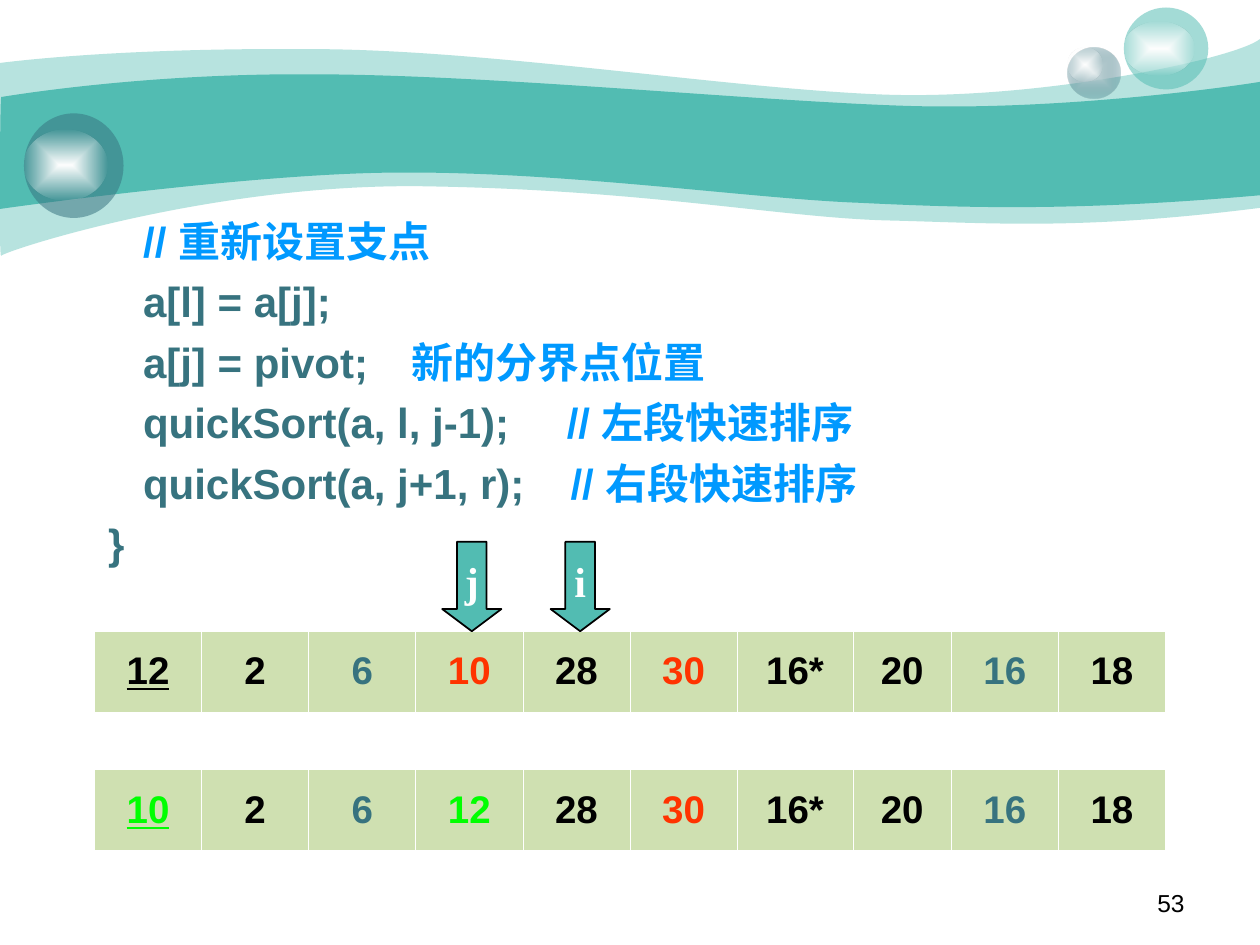
from pptx import Presentation
from pptx.dml.color import RGBColor
from pptx.enum.shapes import MSO_SHAPE
from pptx.enum.text import MSO_ANCHOR, MSO_AUTO_SIZE, PP_ALIGN
from pptx.oxml import parse_xml
from pptx.oxml.ns import nsdecls, qn
from pptx.util import Inches, Pt

OVAL, DOWN_ARROW = MSO_SHAPE.OVAL, MSO_SHAPE.DOWN_ARROW
CENTER, RIGHT = PP_ALIGN.CENTER, PP_ALIGN.RIGHT
MIDDLE = MSO_ANCHOR.MIDDLE
FIT_SHAPE = MSO_AUTO_SIZE.SHAPE_TO_FIT_TEXT
TEAL, SLATE, BLUE, SAGE = "52BCB2", "37737F", "0099FF", "A0C264"
BLACK, WHITE, RED, GREEN = "000000", "FFFFFF", "FF3300", "00FF00"


def rgb(value):
    return RGBColor.from_string(value)


def set_alphas(element, *percents):
    """Set the opacity of each colour in the element, in order."""
    for color, percent in zip(element.iter(qn("a:srgbClr")), percents):
        color.append(parse_xml(f'<a:alpha {nsdecls("a")} val="{percent * 1000}"/>'))


prs = Presentation()
prs.slide_width, prs.slide_height = Inches(10), Inches(7.5)
s = prs.slides.add_slide(prs.slide_layouts[6])

# Wave bands: start point, then segments (a line's end, or a curve's two controls and end)
waves = [
    (41, (0, 0.5), [
        (0.24, 0.47, 1.07, 0.38, 2.47, 0.39), (3.86, 0.39, 5.75, 0.7, 6.99, 0.75),
        (8.22, 0.8, 9.8, 0.47, 10, 0.31), (10, 1.65),
        (8.58, 1.83, 7.87, 1.77, 7.05, 1.75), (6.22, 1.73, 5.15, 1.51, 3.43, 1.48),
        (1.72, 1.44, 0.04, 1.99, 0.01, 2.03), (-0.01, 2.08, 0, 0.75, 0, 0.5)]),
    (100, (0.01, 0.77), [
        (0.02, 0.77, 1.1, 0.58, 2.48, 0.59), (3.86, 0.59, 5.95, 0.8, 7.18, 0.84),
        (8.41, 0.88, 9.76, 0.69, 10, 0.65), (10, 1.55),
        (8.53, 1.68, 7.65, 1.65, 6.82, 1.61), (5.99, 1.58, 4.47, 1.36, 3.17, 1.37),
        (2.03, 1.37, -0.02, 1.66, -0.01, 1.66), (0, 1.66, 0, 0.77, 0.01, 0.77)]),
]
for opacity, start, segments in waves:
    builder = s.shapes.build_freeform(Inches(start[0]), Inches(start[1]))
    builder.add_line_segments([tuple(map(Inches, seg[-2:])) for seg in segments], close=True)
    sp = builder.convert_to_shape()
    # Bend the straight segments into Bezier curves
    for line, seg in zip(list(sp._element.iter(qn("a:lnTo"))), segments):
        if len(seg) == 6:
            pts = "".join(f'<a:pt x="{Inches(x) - sp.left}" y="{Inches(y) - sp.top}"/>'
                          for x, y in zip(seg[::2], seg[1::2]))
            line.getparent().replace(line, parse_xml(
                f'<a:cubicBezTo {nsdecls("a")}>{pts}</a:cubicBezTo>'))
    sp.shadow.inherit = False
    sp.fill.solid()
    sp.fill.fore_color.rgb = rgb(TEAL)
    sp.line.fill.background()
    if opacity < 100:
        set_alphas(sp._element.spPr, opacity)

# Glass balls: each a body and a highlight; colours run from centre to edge
GLOW = [(WHITE, 100), (WHITE, 0)]
balls = [
    [((8.47, 0.38, 0.42, 0.4), [("CCDBDE", 100), (SLATE, 31)]),
     ((8.47, 0.38, 0.28, 0.27), GLOW)],
    [((8.92, 0.06, 0.67, 0.65), [(TEAL, 53)]), ((8.92, 0.17, 0.56, 0.43), GLOW)],
    [((0.19, 0.9, 0.79, 0.83), [(SLATE, 53)]), ((0.19, 1.03, 0.66, 0.56), GLOW)],
]
for ball in balls:
    group = s.shapes.add_group_shape()
    for box, colors in ball:
        sp = group.shapes.add_shape(OVAL, *map(Inches, box))
        sp.shadow.inherit = False
        sp.line.fill.background()
        if len(colors) == 1:
            sp.fill.solid()
            sp.fill.fore_color.rgb = rgb(colors[0][0])
        else:
            sp.fill.gradient()
            for stop, (color, _) in zip(sp.fill.gradient_stops, colors):
                stop.color.rgb = rgb(color)
            lin = next(sp._element.iter(qn("a:lin")))
            lin.getparent().replace(lin, parse_xml(
                f'<a:path {nsdecls("a")} path="rect"><a:fillToRect l="50000" '
                't="50000" r="50000" b="50000"/></a:path>'))
        set_alphas(sp._element.spPr, *[opacity for _, opacity in colors])

# Slide number
tf = s.shapes.add_textbox(Inches(7.17), Inches(7), Inches(2.33), Inches(0.35)).text_frame
tf.word_wrap = True
p = tf.paragraphs[0]
p.text = "53"
p.alignment = RIGHT
p.font.size, p.font.name, p.font.color.rgb = Pt(14), "Arial", rgb(BLACK)

# Code listing: code, comment and the tab stop between them
listing = [
    ("   ", "// 重新设置支点", None),
    ("   a[l] = a[j];", "", None),
    ("   a[j] = pivot;", "新的分界点位置", 2.41),
    ("   quickSort(a, l, j-1);", "// 左段快速排序", 3.64),
    ("   quickSort(a, j+1, r);", "// 右段快速排序", 3.67),
    ("}", "", None),
]
tf = s.shapes.add_textbox(Inches(0.76), Inches(1.58), Inches(8.66), Inches(2.98)).text_frame
tf.word_wrap = True
tf.auto_size = FIT_SHAPE
for i, (code, comment, tab) in enumerate(listing):
    p = tf.add_paragraph() if i else tf.paragraphs[0]
    p.line_spacing = 1.2
    if tab:
        p._p.get_or_add_pPr().append(parse_xml(
            f'<a:tabLst {nsdecls("a")}><a:tab pos="{Inches(tab)}" algn="l"/></a:tabLst>'))
        code += "\t"
    p.font.size, p.font.name, p.font.bold = Pt(24), "Arial", True
    for text, color in ((code, SLATE), (comment, BLUE)):
        if text:
            r = p.add_run()
            r.text = text
            r.font.color.rgb = rgb(color)

# Array before and after the pivot is placed
widths = [0.85] * 6 + [0.92, 0.78] + [0.85] * 2
arrays = [
    (5.01, ["12", "2", "6", "10", "28", "30", "16*", "20", "16", "18"],
     {2: SLATE, 3: RED, 5: RED, 8: SLATE}),
    (6.11, ["10", "2", "6", "12", "28", "30", "16*", "20", "16", "18"],
     {0: GREEN, 2: SLATE, 3: GREEN, 5: RED, 8: SLATE}),
]
for top, values, colors in arrays:
    table = s.shapes.add_table(1, len(values), Inches(0.75), Inches(top),
                               Inches(8.5), Inches(0.64)).table
    table.first_row = table.horz_banding = False
    for i, value in enumerate(values):
        table.columns[i].width = Inches(widths[i])
        cell = table.cell(0, i)
        cell.vertical_anchor = MIDDLE
        cell.fill.solid()
        cell.fill.fore_color.rgb = rgb(SAGE)
        tcPr = cell._tc.tcPr
        set_alphas(tcPr, 50)
        for n, side in enumerate(("lnL", "lnR", "lnT", "lnB")):
            tcPr.insert(n, parse_xml(
                f'<a:{side} {nsdecls("a")} w="{Pt(0.45)}"><a:solidFill>'
                f'<a:srgbClr val="{WHITE}"/></a:solidFill></a:{side}>'))
        p = cell.text_frame.paragraphs[0]
        p.text = value
        p.alignment = CENTER
        p.space_before = Pt(5.5)
        p.font.size, p.font.name, p.font.bold = Pt(22), "Arial", True
        p.font.underline = i == 0
        p.font.color.rgb = rgb(colors.get(i, BLACK))

# Index arrows
for label, left in (("i", 4.37), ("j", 3.51)):
    sp = s.shapes.add_shape(DOWN_ARROW, Inches(left), Inches(4.3), Inches(0.47), Inches(0.71))
    sp.adjustments[0], sp.adjustments[1] = 0.5, 0.375
    sp.shadow.inherit = False
    sp.fill.solid()
    sp.fill.fore_color.rgb = rgb(TEAL)
    sp.line.color.rgb = rgb(BLACK)
    sp.line.width = Pt(1)
    tf = sp.text_frame
    tf.word_wrap = False
    tf.vertical_anchor = MIDDLE
    p = tf.paragraphs[0]
    p.text = label
    p.alignment = CENTER
    p.font.size, p.font.name, p.font.bold = Pt(24), "Times New Roman", True
    p.font.color.rgb = rgb(WHITE)

prs.save("out.pptx")
